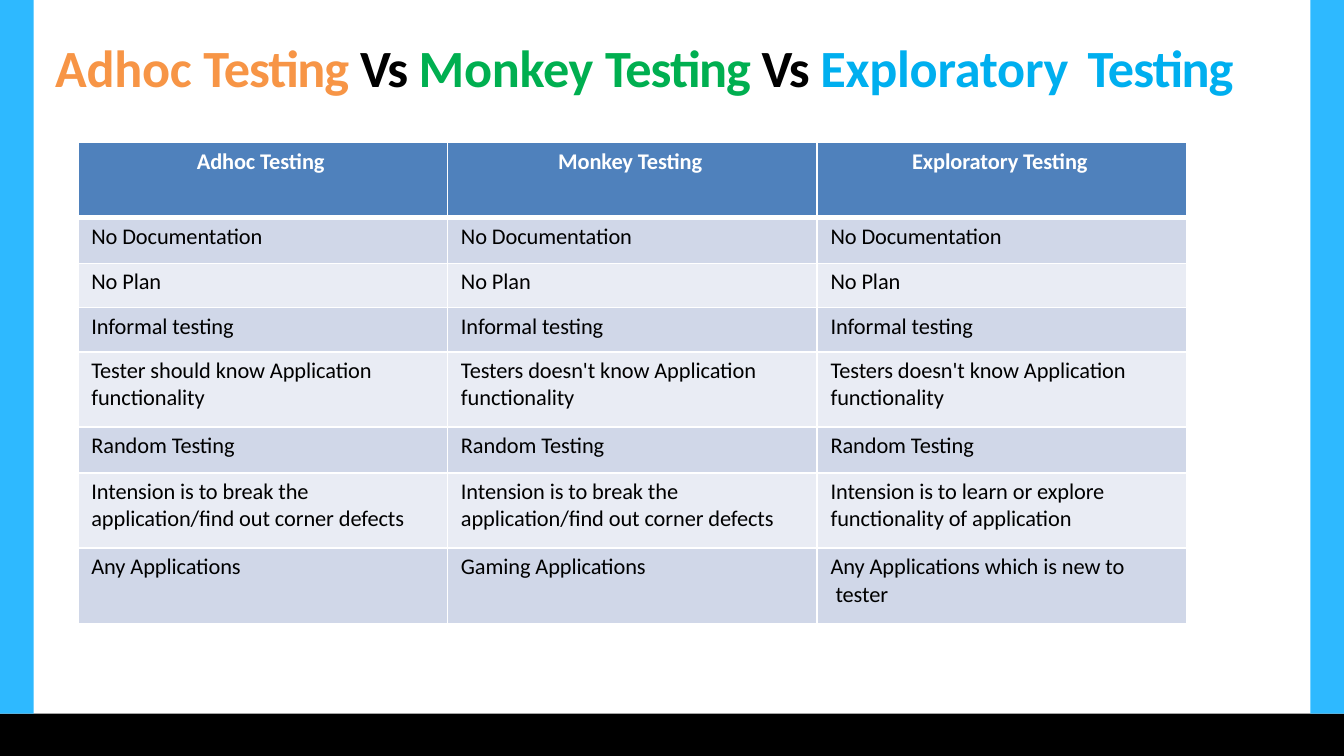
from typing import NamedTuple

from lxml import etree
from pptx import Presentation
from pptx.dml.color import RGBColor
from pptx.enum.shapes import MSO_SHAPE
from pptx.enum.text import MSO_ANCHOR, PP_ALIGN
from pptx.oxml.ns import qn
from pptx.util import Inches, Pt

RECTANGLE = MSO_SHAPE.RECTANGLE
TOP = MSO_ANCHOR.TOP
LEFT, CENTER = PP_ALIGN.LEFT, PP_ALIGN.CENTER

FONT = "Calibri"
COLORS = {
    "black": "000000",
    "white": "FFFFFF",
    "side": "2EB9FF",
    "adhoc": "F79546",
    "monkey": "00AF50",
    "exploratory": "00AFEF",
    "header": "4F81BC",
    "odd_row": "D0D7E8",
    "even_row": "E9ECF4",
}


class Band(NamedTuple):
    left: float
    top: float
    width: float
    height: float
    color: str


class TitlePart(NamedTuple):
    text: str
    color: str
    spacing: float


class TableRow(NamedTuple):
    height: float
    cells: tuple[str, str, str]


BANDS = [
    Band(0, 5.31, 10, 0.32, "black"),
    Band(9.75, 0, 0.25, 5.31, "side"),
    Band(0, 0, 0.25, 5.31, "side"),
]

TITLE_PARTS = [
    TitlePart("Adhoc ", "adhoc", -0.1),
    TitlePart("Testing ", "adhoc", -0.5),
    TitlePart("Vs ", "black", -0.7),
    TitlePart("Monkey ", "monkey", -0.1),
    TitlePart("Testing ", "monkey", -0.5),
    TitlePart("Vs ", "black", -0.7),
    TitlePart("Exploratory", "exploratory", -0.1),
    TitlePart(" ", "exploratory", 4),
    TitlePart("Testing", "exploratory", -0.5),
]

# A line feed starts a new paragraph, a vertical tab a new line
UNFAMILIAR = "Testers doesn't know Application\nfunctionality"
BREAKING = "Intension is to break the\napplication/find out corner defects"
ROWS = [
    TableRow(0.56, ("Adhoc Testing", "Monkey Testing", "Exploratory Testing")),
    TableRow(0.34, ("No Documentation",) * 3),
    TableRow(0.33, ("No Plan",) * 3),
    TableRow(0.33, ("Informal testing",) * 3),
    TableRow(0.56, ("Tester should know Application\nfunctionality", UNFAMILIAR, UNFAMILIAR)),
    TableRow(0.34, ("Random Testing",) * 3),
    TableRow(0.56, (BREAKING, BREAKING,
                    "Intension is to learn or explore\nfunctionality of application")),
    TableRow(0.56, ("Any Applications", "Gaming Applications",
                    "Any Applications which is new to\v tester")),
]
COLUMN_WIDTH = 2.75


def rgb(color: str) -> RGBColor:
    return RGBColor.from_string(COLORS[color])


def format_run(run, size: float, color: str, bold: bool, spacing: float) -> None:
    run.font.name = FONT
    run.font.size = Pt(size)
    run.font.bold = bold
    run.font.color.rgb = rgb(color)
    run.font._element.set("spc", str(round(spacing * 100)))


def add_band(slide, band: Band) -> None:
    shape = slide.shapes.add_shape(RECTANGLE, *map(Inches, band[:4]))
    shape.shadow.inherit = False
    shape.fill.solid()
    shape.fill.fore_color.rgb = rgb(band.color)
    shape.line.fill.background()


def fill_title(title) -> None:
    title.left, title.top = Inches(0.39), Inches(0.24)
    title.width, title.height = Inches(8.97), Inches(0.49)
    frame = title.text_frame
    frame.margin_right = frame.margin_bottom = 0
    frame.margin_left = frame.margin_top = Inches(0.02)
    frame.vertical_anchor = TOP
    frame.word_wrap = True
    paragraph = frame.paragraphs[0]
    paragraph.alignment = LEFT
    for part in TITLE_PARTS:
        run = paragraph.add_run()
        run.text = part.text
        format_run(run, 28, part.color, True, part.spacing)


def set_borders(cell, top: float, bottom: float) -> None:
    properties = cell._tc.get_or_add_tcPr()
    widths = {"a:lnL": 1, "a:lnR": 1, "a:lnT": top, "a:lnB": bottom}
    for index, (tag, width) in enumerate(widths.items()):
        line = etree.Element(qn(tag), w=str(Pt(width)))
        fill = etree.SubElement(line, qn("a:solidFill"))
        etree.SubElement(fill, qn("a:srgbClr"), val=COLORS["white"])
        properties.insert(index, line)


def fill_cell(cell, text: str, row_index: int) -> None:
    is_header = row_index == 0
    cell.margin_left = Inches(0 if is_header else 0.1)
    cell.margin_right = Inches(0.03 if is_header else 0)
    cell.margin_top, cell.margin_bottom = Inches(0.04), 0
    cell.vertical_anchor = TOP
    cell.fill.solid()
    stripe = "odd_row" if row_index % 2 else "even_row"
    cell.fill.fore_color.rgb = rgb("header" if is_header else stripe)
    set_borders(cell, 3 if row_index == 1 else 1, 3 if is_header else 1)
    cell.text_frame.text = text
    for paragraph in cell.text_frame.paragraphs:
        paragraph.alignment = CENTER if is_header else LEFT
        for run in paragraph.runs:
            format_run(run, 12, "white" if is_header else "black", is_header, -0.07)


def add_comparison_table(slide) -> None:
    columns = len(ROWS[0].cells)
    height = sum(row.height for row in ROWS)
    frame = slide.shapes.add_table(len(ROWS), columns, Inches(0.58), Inches(1.06),
                                   Inches(COLUMN_WIDTH * columns), Inches(height))
    table = frame.table
    table.horz_banding = False
    for column in table.columns:
        column.width = Inches(COLUMN_WIDTH)
    for row_index, row in enumerate(ROWS):
        table.rows[row_index].height = Inches(row.height)
        for column_index, text in enumerate(row.cells):
            fill_cell(table.cell(row_index, column_index), text, row_index)


def main() -> None:
    presentation = Presentation()
    presentation.slide_width = Inches(10)
    presentation.slide_height = Inches(10 * 9 / 16)
    slide = presentation.slides.add_slide(presentation.slide_layouts[5])

    # Coloured frame around the page
    for band in BANDS:
        add_band(slide, band)

    # Heading and comparison
    fill_title(slide.shapes.title)
    add_comparison_table(slide)

    presentation.save("out.pptx")


if __name__ == "__main__":
    main()
